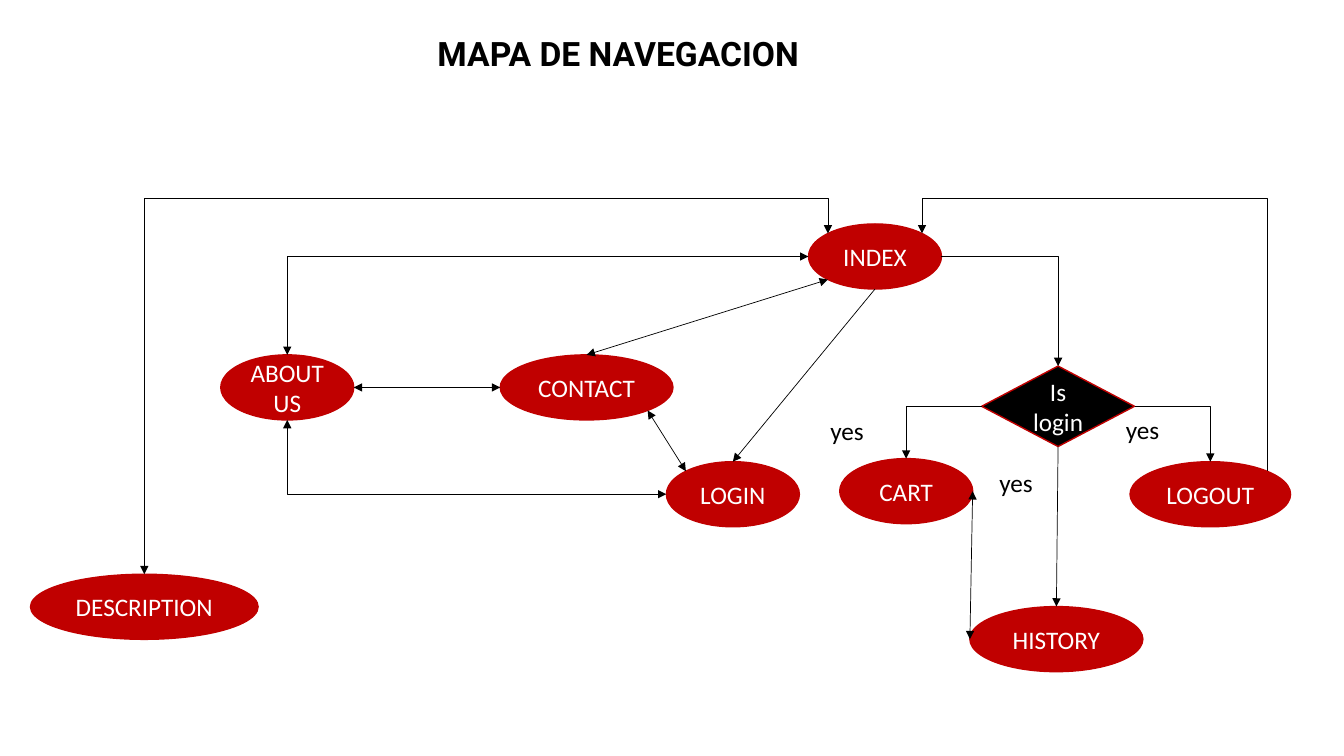
"""Build the navigation map slide: pages as ellipses, a login check and the links between them."""
import math
from lxml import etree
from pptx import Presentation
from pptx.dml.color import RGBColor
from pptx.enum.shapes import MSO_CONNECTOR, MSO_SHAPE
from pptx.enum.text import MSO_ANCHOR, PP_ALIGN
from pptx.oxml.ns import qn
from pptx.util import Pt

RED = RGBColor(0xC0, 0x00, 0x00)
BLACK = RGBColor(0x00, 0x00, 0x00)
WHITE = RGBColor(0xFF, 0xFF, 0xFF)
OVAL, DIAMOND = MSO_SHAPE.OVAL, MSO_SHAPE.DIAMOND
STRAIGHT, ELBOW = MSO_CONNECTOR.STRAIGHT, MSO_CONNECTOR.ELBOW
LEFT, CENTER = PP_ALIGN.LEFT, PP_ALIGN.CENTER
TOP, MIDDLE = MSO_ANCHOR.TOP, MSO_ANCHOR.MIDDLE
PAGE_W, PAGE_H = 95, 46.5
LOOP_Y = 141.8


def write(shape, text, size=18, font="Calibri", color=BLACK, bold=False,
          align=LEFT, anchor=TOP, wrap=True):
    tf = shape.text_frame
    tf.word_wrap, tf.vertical_anchor = wrap, anchor
    p = tf.paragraphs[0]
    p.alignment = align
    r = p.add_run()
    r.text = text
    r.font.size, r.font.name, r.font.bold = Pt(size), font, bold
    r.font.color.rgb = color


def site_point(shape, site):
    step = 90 if shape.auto_shape_type == DIAMOND else 45
    angle = math.radians(90 + step * site)
    x = shape.left.pt + shape.width.pt / 2 * (1 + math.cos(angle))
    y = shape.top.pt + shape.height.pt / 2 * (1 - math.sin(angle))
    return x, y


prs = Presentation()
prs.slide_width, prs.slide_height = Pt(960), Pt(540)
s = prs.slides.add_slide(prs.slide_layouts[5])

title = s.shapes.title
title.left, title.top, title.width, title.height = Pt(305.3), Pt(20.2), Pt(327), Pt(36)
write(title, "MAPA DE NAVEGACION", size=24, font="Roboto", bold=True)

nodes = {}
for name, x, y, w, h, kind, fill in [
    ("INDEX", 577.5, 160, PAGE_W, PAGE_H, OVAL, RED),
    ("ABOUT US", 157.7, 253.5, PAGE_W, PAGE_H, OVAL, RED),
    ("CART", 599.8, 327.6, PAGE_W, PAGE_H, OVAL, RED),
    ("LOGIN", 476, 329.8, PAGE_W, PAGE_H, OVAL, RED),
    ("CONTACT", 357.3, 253.5, 123.4, PAGE_H, OVAL, RED),
    ("LOGOUT", 807.2, 329.8, 114.7, PAGE_H, OVAL, RED),
    ("HISTORY", 692.8, 433.3, 123.6, PAGE_H, OVAL, RED),
    ("Is login", 701.2, 261.5, 109.2, 57.5, DIAMOND, BLACK),
    ("DESCRIPTION", 21.8, 410.2, 162.6, PAGE_H, OVAL, RED),
]:
    sp = s.shapes.add_shape(kind, Pt(x), Pt(y), Pt(w), Pt(h))
    sp.shadow.inherit = False
    sp.fill.solid()
    sp.fill.fore_color.rgb = fill
    sp.line.color.rgb = RED
    sp.line.width = Pt(1)
    write(sp, name, color=WHITE, align=CENTER, anchor=MIDDLE)
    nodes[name] = sp

for start, start_site, end, end_site, route, two_way in [
    ("INDEX", 2, "ABOUT US", 0, "corner", True),
    ("INDEX", 3, "CONTACT", 0, "straight", True),
    ("CONTACT", 2, "ABOUT US", 6, "straight", True),
    ("INDEX", 4, "LOGIN", 0, "straight", False),
    ("INDEX", 6, "Is login", 0, "corner", False),
    ("Is login", 1, "CART", 0, "corner", False),
    ("Is login", 3, "LOGOUT", 0, "corner", False),
    ("Is login", 2, "HISTORY", 0, "straight", False),
    ("LOGIN", 1, "CONTACT", 5, "straight", True),
    ("LOGIN", 2, "ABOUT US", 4, "corner", True),
    ("LOGOUT", 7, "INDEX", 7, "loop", False),
    ("HISTORY", 2, "CART", 6, "straight", True),
    ("INDEX", 1, "DESCRIPTION", 0, "loop", True),
]:
    x1, y1 = site_point(nodes[start], start_site)
    x2, y2 = site_point(nodes[end], end_site)
    bend = (y1 - LOOP_Y) / (y1 - y2) if route == "loop" else 0
    if route == "loop":
        cx, cy = (x1 + x2) / 2, (y1 + y2) / 2
        x1, y1, x2, y2 = cx + cy - y1, cy + x1 - cx, cx + cy - y2, cy + x2 - cx
    c = s.shapes.add_connector(STRAIGHT if route == "straight" else ELBOW,
                               Pt(x1), Pt(y1), Pt(x2), Pt(y2))
    c.line.color.rgb = BLACK
    c.line.width = Pt(0.5)
    spPr = c.element.spPr
    geom = spPr.find(qn("a:prstGeom"))
    if route == "corner":
        geom.set("prst", "bentConnector2")
    elif route == "loop":
        spPr.find(qn("a:xfrm")).set("rot", str(270 * 60000))
        etree.SubElement(geom.find(qn("a:avLst")), qn("a:gd"),
                         name="adj1", fmla=f"val {round(bend * 100000)}")
    ln = spPr.find(qn("a:ln"))
    for tag in ["a:headEnd", "a:tailEnd"] if two_way else ["a:tailEnd"]:
        etree.SubElement(ln, qn(tag), type="triangle")
    etree.SubElement(spPr, qn("a:effectLst"))
    glue = c.element.find(".//" + qn("p:cNvCxnSpPr"))
    for tag, name, site in [("a:stCxn", start, start_site), ("a:endCxn", end, end_site)]:
        etree.SubElement(glue, qn(tag), id=str(nodes[name].shape_id), idx=str(site))

for x, y in [(586.1, 293), (797.1, 292.4), (706.8, 330)]:
    write(s.shapes.add_textbox(Pt(x), Pt(y), Pt(39), Pt(29)), "yes", wrap=False)

prs.save("out.pptx")
